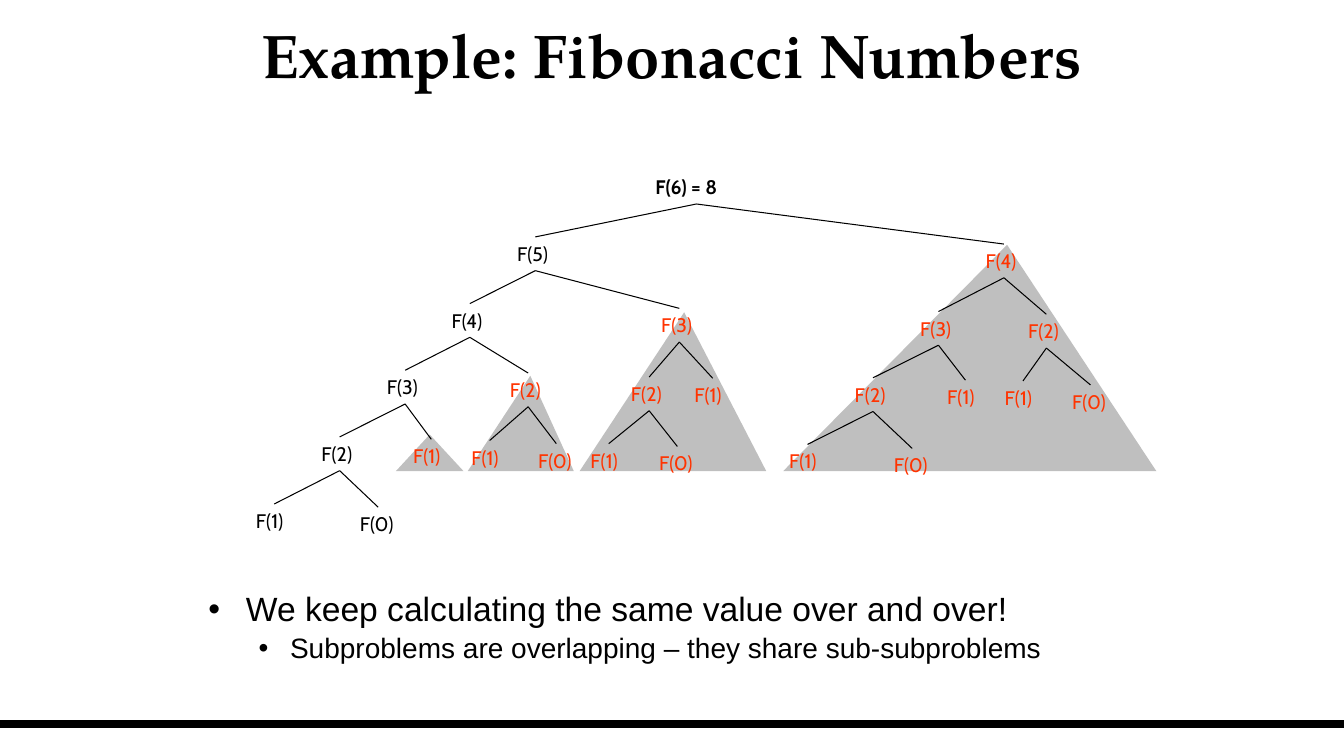
from dataclasses import dataclass

import pptx
import pptx.dml.color
import pptx.enum.shapes
import pptx.enum.text
import pptx.oxml.ns
import pptx.util
from lxml import etree
from pptx.util import Cm

# Content
TITLE = "Example: Fibonacci Numbers"
# Text, level, type size, left margin (cm), hanging indent (cm), space before (pt)
BULLETS = [
    ("We keep calculating the same value over and over!", 0, 24, 0.95, 0.95, 0),
    ("Subproblems are overlapping – they share sub-subproblems", 1, 20, 2.06, 0.79, 4),
]
# Call tree: (n, centre x, top, children), in cm
CALL_TREE = (6, 17.55, 4.29, [
    (5, 13.49, 5.97, [
        (4, 11.84, 7.65, [
            (3, 10.21, 9.33, [
                (2, 8.56, 11.01, [(1, 6.91, 12.7, []), (0, 9.53, 12.78, [])]),
                (1, 10.87, 11.07, []),
            ]),
            (2, 13.31, 9.4, [(1, 12.34, 11.1, []), (0, 14.02, 11.18, [])]),
        ]),
        (3, 17.12, 7.77, [
            (2, 16.36, 9.5, [(1, 15.34, 11.18, []), (0, 17.07, 11.25, [])]),
            (1, 17.96, 9.53, []),
        ]),
    ]),
    (4, 25.3, 6.15, [
        (3, 23.65, 7.85, [
            (2, 22.0, 9.52, [(1, 20.35, 11.2, []), (0, 22.99, 11.3, [])]),
            (1, 24.33, 9.58, []),
        ]),
        (2, 26.37, 7.92, [(1, 25.78, 9.6, []), (0, 27.48, 9.7, [])]),
    ]),
])
ROOT_LABEL = "F(6) = 8"
# Triangles over the repeated subtrees: left, top, width, apex position
REPEATED_AREAS = [
    (19.74, 6.17, 9.4, 0.6),
    (14.61, 7.87, 4.7, 0.56),
    (11.79, 9.47, 2.67, 0.59),
    (9.98, 10.95, 1.7, 0.5),
]
AREA_BASE = 11.87
LABEL_WIDTH, ROOT_WIDTH, LABEL_HEIGHT = 1.42, 2.57, 0.85
SLIDE_WIDTH, SLIDE_HEIGHT, FOOTER_Y = 33.87, 19.05, 18.24


@dataclass
class Theme:
    ink = pptx.dml.color.RGBColor(0, 0, 0)
    repeated = pptx.dml.color.RGBColor(0xFF, 0x33, 0)
    area = pptx.dml.color.RGBColor(0x80, 0x80, 0x80)
    title_font = "TeX Gyre Pagella"
    body_font = "Arial"
    label_font = "Cabin"
    title_size = 44
    label_size = 14
    branch_width = 0.75
    footer_width = 6


theme = Theme()
qn = pptx.oxml.ns.qn


def format_text(paragraph, name, size, color, bold=False):
    for run in paragraph.runs:
        run.font.name = name
        run.font.size = pptx.util.Pt(size)
        run.font.color.rgb = color
        run.font.bold = bold


def add_text_box(slide, left, top, width, height, wrap=True):
    shape = slide.shapes.add_textbox(Cm(left), Cm(top), Cm(width), Cm(height))
    shape.text_frame.word_wrap = wrap
    return shape.text_frame


def add_line(slide, start, end, width):
    line = slide.shapes.add_connector(
        pptx.enum.shapes.MSO_CONNECTOR.STRAIGHT, *(Cm(v) for v in (*start, *end)))
    line.line.color.rgb = theme.ink
    line.line.width = pptx.util.Pt(width)
    etree.SubElement(line._element.spPr, qn("a:effectLst"))


def add_area(slide, left, top, width, apex):
    shape = slide.shapes.add_shape(
        pptx.enum.shapes.MSO_SHAPE.ISOSCELES_TRIANGLE,
        Cm(left), Cm(top), Cm(width), Cm(AREA_BASE - top))
    shape.adjustments[0] = apex
    shape.shadow.inherit = False
    shape.line.fill.background()
    shape.fill.solid()
    shape.fill.fore_color.rgb = theme.area
    color = shape._element.spPr.find(".//" + qn("a:srgbClr"))
    etree.SubElement(color, qn("a:alpha"), val="50000")


def add_call(slide, call, seen):
    """Draw a call and its subtree; a value already computed is highlighted."""
    n, center, top, children = call
    is_root = not seen
    color = theme.repeated if n in seen else theme.ink
    seen.add(n)
    width = ROOT_WIDTH if is_root else LABEL_WIDTH
    frame = add_text_box(slide, center - width / 2, top, width, LABEL_HEIGHT, wrap=False)
    frame.auto_size = pptx.enum.text.MSO_AUTO_SIZE.SHAPE_TO_FIT_TEXT
    frame.text = ROOT_LABEL if is_root else f"F({n})"
    format_text(frame.paragraphs[0], theme.label_font, theme.label_size, color, is_root)
    for child in children:
        add_line(slide, (center, top + LABEL_HEIGHT), child[1:3], theme.branch_width)
        add_call(slide, child, seen)


def add_bullets(slide):
    frame = add_text_box(slide, 5, 14.81, 24.46, 2.74)
    frame.text = "\n".join(bullet[0] for bullet in BULLETS)
    for paragraph, (_, level, size, margin, hanging, before) in zip(frame.paragraphs, BULLETS):
        paragraph.level = level
        paragraph.line_spacing = 0.9
        paragraph.space_before = pptx.util.Pt(before)
        properties = paragraph._p.get_or_add_pPr()
        properties.set("marL", str(Cm(margin)))
        properties.set("indent", str(-Cm(hanging)))
        etree.SubElement(properties, qn("a:buFont"), typeface=theme.body_font)
        etree.SubElement(properties, qn("a:buChar"), char="•")
        format_text(paragraph, theme.body_font, size, theme.ink)


def main():
    presentation = pptx.Presentation()
    presentation.slide_width = Cm(SLIDE_WIDTH)
    presentation.slide_height = Cm(SLIDE_HEIGHT)
    slide = presentation.slides.add_slide(presentation.slide_layouts[6])

    # Footer rule and shaded subtrees
    add_line(slide, (0, FOOTER_Y), (SLIDE_WIDTH, FOOTER_Y), theme.footer_width)
    for area in REPEATED_AREAS:
        add_area(slide, *area)

    # Title
    frame = add_text_box(slide, 0.18, 0.18, 33.5, 2.34)
    frame.vertical_anchor = pptx.enum.text.MSO_ANCHOR.MIDDLE
    frame.text = TITLE
    frame.paragraphs[0].alignment = pptx.enum.text.PP_ALIGN.CENTER
    format_text(frame.paragraphs[0], theme.title_font, theme.title_size, theme.ink, True)

    # Bullets and call tree
    add_bullets(slide)
    add_call(slide, CALL_TREE, set())

    presentation.save("out.pptx")


if __name__ == "__main__":
    main()
